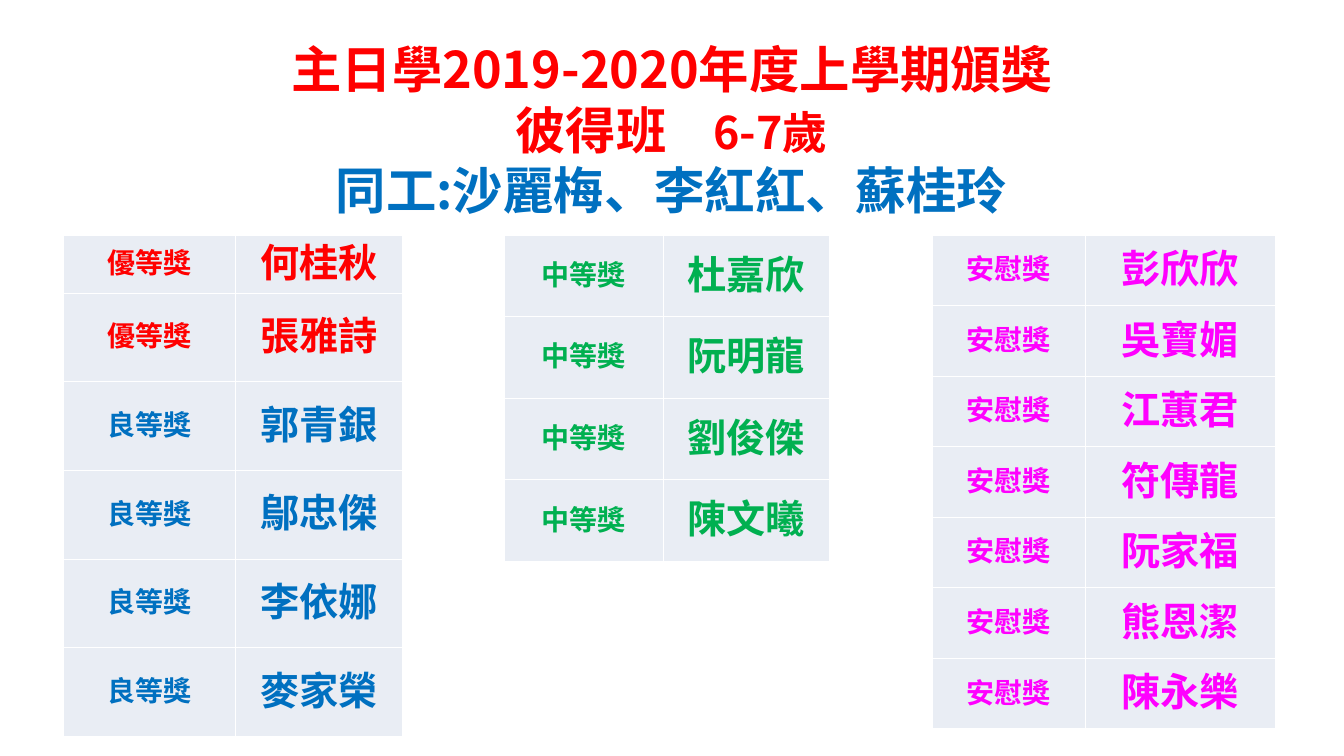
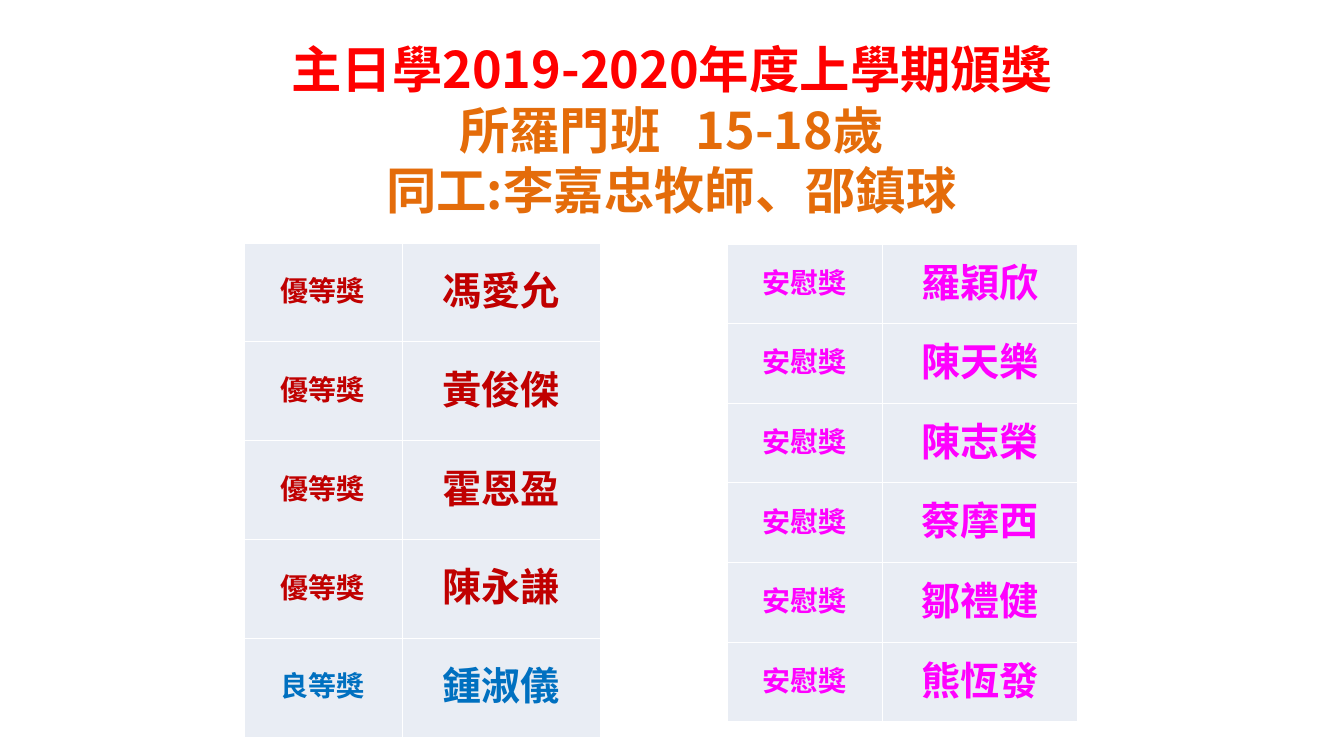
from pptx import Presentation, util as u
from pptx.dml.color import RGBColor
from pptx.enum import text
from pptx.oxml import parse_xml
from pptx.oxml.ns import nsdecls

PX = 9144  # 100 px to the inch
RED, BLUE, GREEN, PINK = "FF0000", "0070C0", "00B050", "FF00FF"
DARK, ORANGE, PALE, WHITE = "C00000", "E46C0A", "E9EDF4", "FFFFFF"
HEAD = "主日學2019-2020年度上學期頒獎"
TITLE, BODY = "Noto Sans CJK SC", "Calibri"
FRAME = dict(left=0, top=28, width=1333, height=310)
INSET = dict(margin_left=10, margin_right=10, margin_top=9, margin_bottom=5)
PAD = dict(margin_left=1, margin_right=1, margin_top=5, margin_bottom=5)


def place(item, lengths):
    """Set each named length, given in px, on the item."""
    for key, val in lengths.items():
        setattr(item, key, val * PX)


def write(para, words, face, size, color, gap=0):
    """Add one centred bold run; gap widens its letters, in points."""
    para.alignment = text.PP_ALIGN.CENTER
    run = para.add_run()
    run.text = words
    for key, val in dict(name=face, size=u.Pt(size), bold=True).items():
        setattr(run.font, key, val)
    run.font.color.rgb = RGBColor.from_string(color)
    props = run.font._element
    props.append(parse_xml(f'<a:ea {nsdecls("a")} typeface="{face}"/>'))
    if gap:
        props.set("spc", str(gap * 100))


# Each slide: class line and staff line as runs (words, size, colour, gap),
# then tables (left, top, column widths, first row, other rows, awards).
SLIDES = [
    ([("彼得班", 36, RED), (" ", 36, RED, 25), ("6-7歲", 32, RED)],
     [("同工:沙麗梅、李紅紅、蘇桂玲", 36, BLUE)],
     [(63, 233, (171, 165), 48, 88,
       [("優等獎", RED, "何桂秋 張雅詩"),
        ("良等獎", BLUE, "郭青銀 鄔忠傑 李依娜 麥家榮")]),
      (501, 233, (157, 165), 81, 81,
       [("中等獎", GREEN, "杜嘉欣 阮明龍 劉俊傑 陳文曦")]),
      (925, 233, (152, 189), 70, 70,
       [("安慰獎", PINK, "彭欣欣 吳寶媚 江蕙君 符傳龍 阮家福 熊恩潔 陳永樂")])]),
    ([("所羅門班", 36, ORANGE), (" ", 36, ORANGE, 17), ("15-18歲", 36, ORANGE)],
     [("同工:李嘉忠牧師、邵鎮球", 36, ORANGE)],
     [(242, 241, (157, 197), 98, 98,
       [("優等獎", DARK, "馮愛允 黃俊傑 霍恩盈 陳永謙"),
        ("良等獎", BLUE, "鍾淑儀")]),
      (722, 242, (154, 193), 79, 79,
       [("安慰獎", PINK, "羅穎欣 陳天樂 陳志榮 蔡摩西 鄒禮健 熊恆發")])]),
]

deck = Presentation()
deck.slide_width, deck.slide_height = 1334 * PX, 750 * PX

for group, staff, tables in SLIDES:
    slide = deck.slides.add_slide(deck.slide_layouts[5])
    title = slide.shapes.title
    place(title, FRAME)
    frame = title.text_frame
    place(frame, INSET)
    frame.word_wrap = True
    frame.auto_size = text.MSO_AUTO_SIZE.NONE
    frame.vertical_anchor = text.MSO_ANCHOR.TOP
    for i, line in enumerate([[(HEAD, 36, RED)], group, staff]):
        para = frame.add_paragraph() if i else frame.paragraphs[0]
        para.line_spacing = u.Pt(43.5)
        for words, *style in line:
            write(para, words, TITLE, *style)

    for left, top, widths, first, rest, awards in tables:
        rows = [(award, name, color) for award, color, names in awards
                for name in names.split()]
        highs = [first] + [rest] * (len(rows) - 1)
        grid = slide.shapes.add_table(
            len(rows), 2, left * PX, top * PX,
            sum(widths) * PX, sum(highs) * PX).table
        grid.first_row = grid.horz_banding = False
        for col, wide in zip(grid.columns, widths):
            col.width = wide * PX
        for r, (award, name, color) in enumerate(rows):
            grid.rows[r].height = highs[r] * PX
            for c, (words, size) in enumerate([(award, 20), (name, 28)]):
                cell = grid.cell(r, c)
                place(cell, PAD)
                cell.vertical_anchor = text.MSO_ANCHOR.MIDDLE
                write(cell.text_frame.paragraphs[0], words, BODY, size, color)
                props = cell._tc.get_or_add_tcPr()
                for side in "LRTB":
                    props.append(parse_xml(
                        f'<a:ln{side} {nsdecls("a")} w="5715"><a:solidFill>'
                        f'<a:srgbClr val="{WHITE}"/></a:solidFill></a:ln{side}>'))
                cell.fill.solid()
                cell.fill.fore_color.rgb = RGBColor.from_string(PALE)

deck.save("out.pptx")
